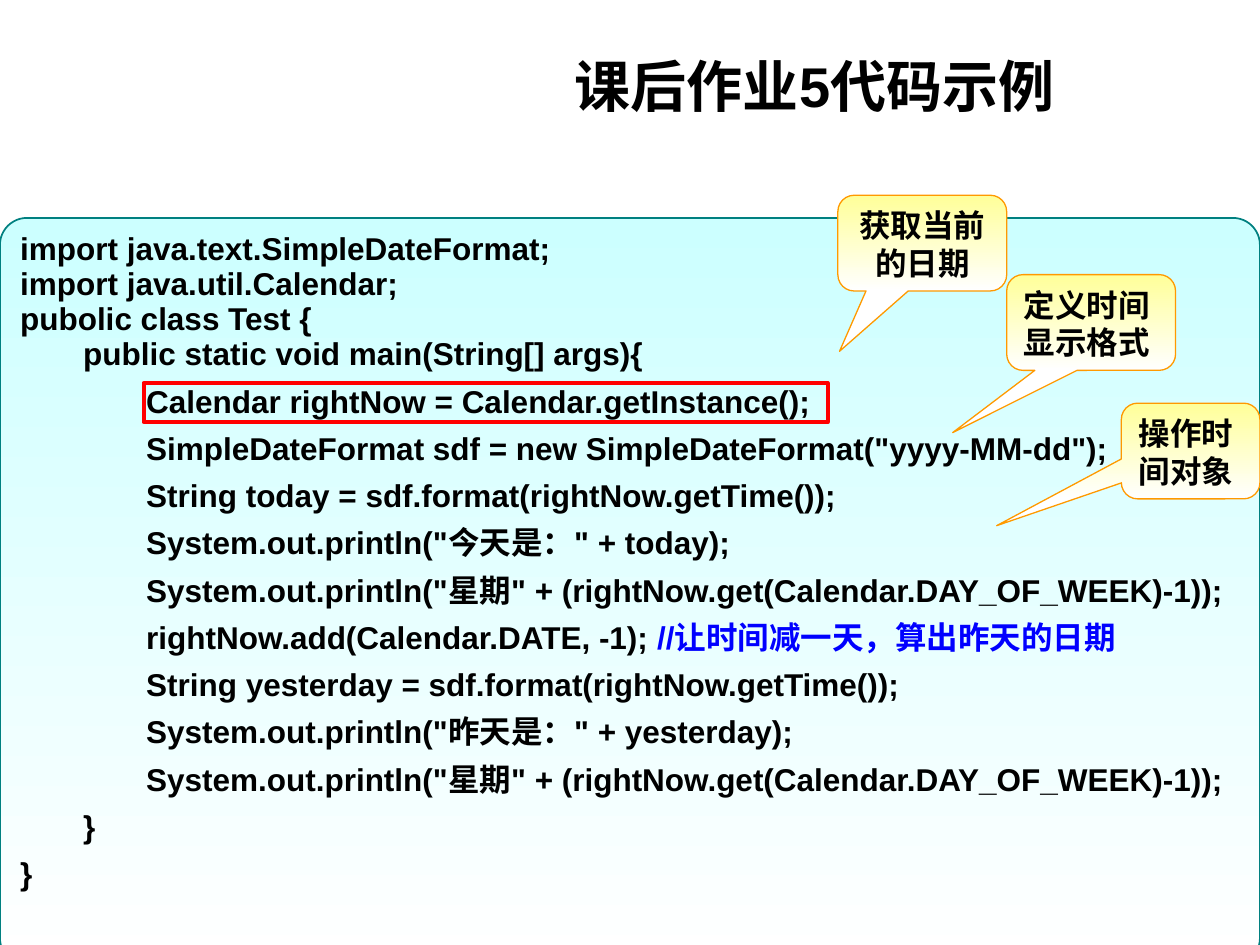
import pptx
import pptx.util
import pptx.dml.color
import pptx.enum.shapes
import pptx.enum.text

Inches = pptx.util.Inches
Pt = pptx.util.Pt
Shapes = pptx.enum.shapes.MSO_SHAPE
Align = pptx.enum.text.PP_ALIGN
Anchor = pptx.enum.text.MSO_ANCHOR

COLORS = {
    "text": "000000", "comment": "0000FF", "white": "FFFFFF",
    "code fill": "CCFFFF", "code line": "008080",
    "note fill": "FFFF99", "note line": "FF9900", "highlight": "FF0000",
}


def add_span(para, text, size=18, color="text"):
    span = para.add_run()
    span.text = text
    span.font.name = "Arial"
    span.font.size = Pt(size)
    span.font.bold = True
    span.font.color.rgb = pptx.dml.color.RGBColor.from_string(COLORS[color])


def add_panel(kind, place, adjustments, fill, line, line_width):
    """Add a shape that fades from its fill colour down to white."""
    panel = slide.shapes.add_shape(kind, *[Inches(value) for value in place])
    panel.shadow.inherit = False
    for index, value in enumerate(adjustments):
        panel.adjustments[index] = value
    panel.fill.gradient()
    panel.fill.gradient_angle = 270
    for stop, color in zip(panel.fill.gradient_stops, (fill, "white")):
        stop.color.rgb = pptx.dml.color.RGBColor.from_string(COLORS[color])
    panel.line.color.rgb = pptx.dml.color.RGBColor.from_string(COLORS[line])
    panel.line.width = Pt(line_width)
    panel.text_frame.word_wrap = True
    panel.text_frame.vertical_anchor = Anchor.TOP
    return panel


deck = pptx.Presentation()
deck.slide_width = Inches(10)
deck.slide_height = Inches(7.5)
slide = deck.slides.add_slide(deck.slide_layouts[5])

# Title
title = slide.shapes.title
title.left, title.top = Inches(2.56), Inches(0.36)
title.width, title.height = Inches(5.91), Inches(0.63)
title.text_frame.vertical_anchor = Anchor.MIDDLE
title_para = title.text_frame.paragraphs[0]
title_para.alignment = Align.RIGHT
add_span(title_para, "课后作业5代码示例", 32)

# Code listing: indent level and text of each line
code_lines = [
    (0, "import java.text.SimpleDateFormat;"),
    (0, "import java.util.Calendar;"),
    (0, "pubolic class Test {"),
    (1, "public static void main(String[] args){"),
    (2, "Calendar rightNow = Calendar.getInstance();"),
    (2, 'SimpleDateFormat sdf = new SimpleDateFormat("yyyy-MM-dd");'),
    (2, "String today = sdf.format(rightNow.getTime());"),
    (2, 'System.out.println("今天是：" + today);'),
    (2, 'System.out.println("星期" + (rightNow.get(Calendar.DAY_OF_WEEK)-1));'),
    (2, "rightNow.add(Calendar.DATE, -1); //让时间减一天，算出昨天的日期"),
    (2, "String yesterday = sdf.format(rightNow.getTime());"),
    (2, 'System.out.println("昨天是：" + yesterday);'),
    (2, 'System.out.println("星期" + (rightNow.get(Calendar.DAY_OF_WEEK)-1));'),
    (1, "}"),
    (0, "}"),
]
header_count = 4
code_box = add_panel(Shapes.ROUNDED_RECTANGLE, (0, 1.73, 10, 5.93), [0.036],
                     "code fill", "code line", 1)
for index, (level, text) in enumerate(code_lines):
    frame = code_box.text_frame
    para = frame.add_paragraph() if index else frame.paragraphs[0]
    para.alignment = Align.LEFT
    para.level = level
    properties = para._p.get_or_add_pPr()
    properties.set("marL", str(Inches(0.5 * level)))
    properties.set("indent", "0")
    if index < header_count:
        para.line_spacing = Pt(20)
    else:
        para.space_before = Pt(5.4)
    code, slashes, comment = text.partition("//")
    add_span(para, code)
    if comment:
        add_span(para, slashes + comment, color="comment")

# Frame around the first statement
highlight = slide.shapes.add_shape(
    Shapes.RECTANGLE, Inches(1.14), Inches(3.04), Inches(5.43), Inches(0.31))
highlight.shadow.inherit = False
highlight.fill.background()
highlight.line.color.rgb = pptx.dml.color.RGBColor.from_string(COLORS["highlight"])
highlight.line.width = Pt(2.25)

# Callouts: text, left, top, width, pointer offset, alignment
callouts = [
    ("定义时间显示格式", 7.99, 2.18, 1.34, (-0.82, 1.15), Align.LEFT),
    ("操作时间对象", 8.9, 3.2, 1.1, (-1.4, 0.78), Align.LEFT),
    ("获取当前的日期", 6.65, 1.55, 1.34, (-0.49, 1.13), Align.CENTER),
]
for text, left, top, width, pointer, alignment in callouts:
    callout = add_panel(Shapes.ROUNDED_RECTANGULAR_CALLOUT, (left, top, width, 0.76),
                        (*pointer, 0.17), "note fill", "note line", 0.75)
    para = callout.text_frame.paragraphs[0]
    para.alignment = alignment
    add_span(para, text)

deck.save("out.pptx")
